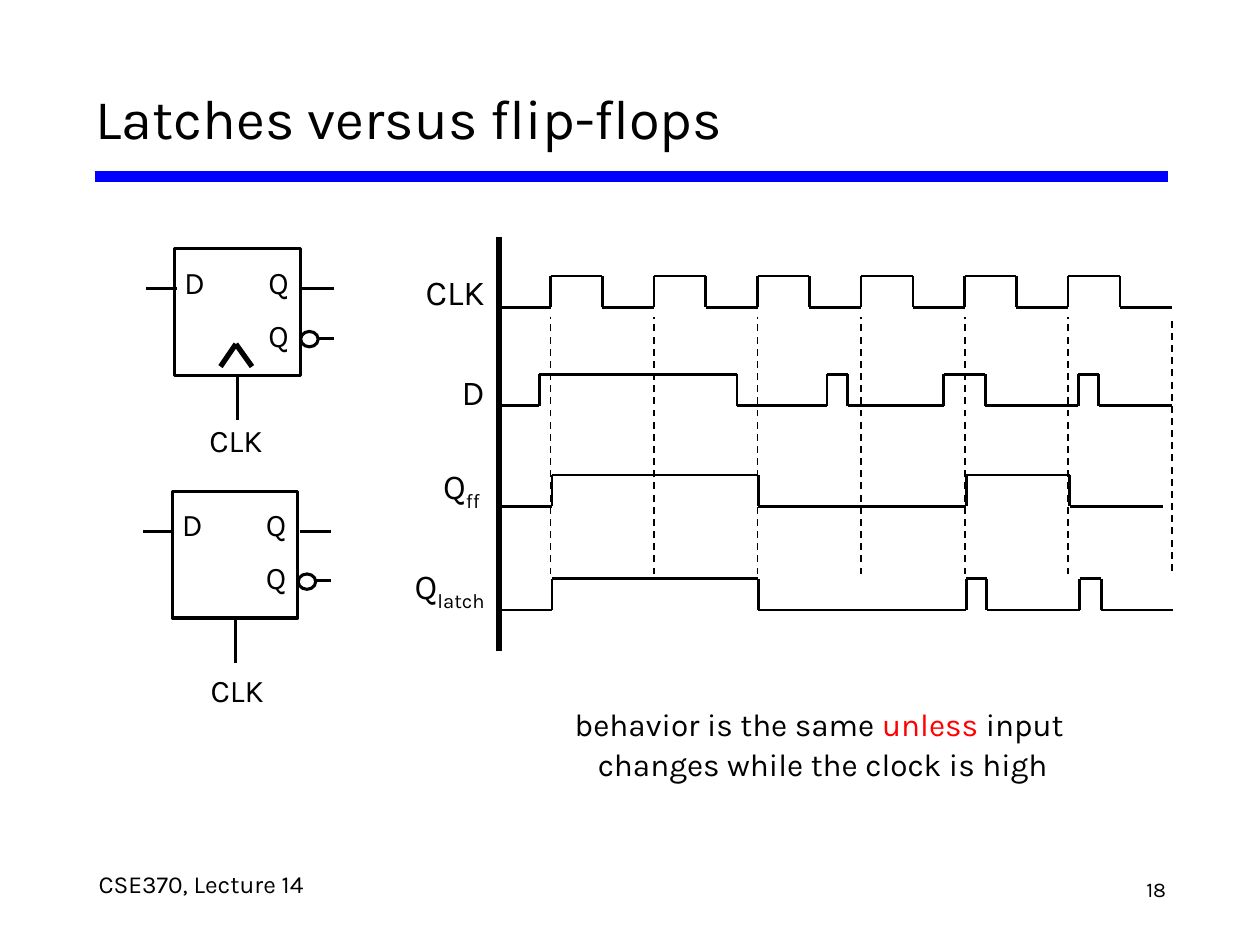
from dataclasses import dataclass
from itertools import pairwise

from lxml import etree
from pptx import Presentation
from pptx.dml.color import RGBColor
from pptx.enum import dml, shapes, text
from pptx.oxml.ns import qn
from pptx.util import Pt


@dataclass(frozen=True)
class Theme:
    font: str = "Karla"
    ink: RGBColor = RGBColor(0, 0, 0)
    paper: RGBColor = RGBColor(255, 255, 255)
    rule: RGBColor = RGBColor(0, 0, 255)
    accent: RGBColor = RGBColor(255, 0, 0)
    title: int = 32
    signal: int = 20
    body: int = 18
    footer: int = 14
    number: int = 12


theme = Theme()
LEFT, CENTER, RIGHT = text.PP_ALIGN.LEFT, text.PP_ALIGN.CENTER, text.PP_ALIGN.RIGHT

deck = Presentation()
deck.slide_width, deck.slide_height = Pt(720), Pt(540)
slide = deck.slides.add_slide(deck.slide_layouts[6])


def write(paragraphs, left, top, width, height, size=theme.body, align=LEFT,
          spacing=Pt(16), gap=0, inset=(1.6, 2.2), wrap=False,
          anchor=text.MSO_ANCHOR.TOP):
    frame = slide.shapes.add_textbox(Pt(left), Pt(top), Pt(width), Pt(height)).text_frame
    frame.word_wrap, frame.vertical_anchor = wrap, anchor
    frame.margin_left = frame.margin_right = Pt(inset[0])
    frame.margin_top = frame.margin_bottom = Pt(inset[1])
    if isinstance(paragraphs, str):
        paragraphs = [[(paragraphs, {})]]
    for index, runs in enumerate(paragraphs):
        paragraph = frame.add_paragraph() if index else frame.paragraphs[0]
        paragraph.alignment, paragraph.line_spacing = align, spacing
        if index and gap:
            paragraph.space_before = Pt(gap)
        for words, style in runs:
            run = paragraph.add_run()
            run.text = words
            run.font.name, run.font.size = theme.font, Pt(size)
            run.font.color.rgb = style.get("color", theme.ink)
            if style.get("subscript"):
                run.font._element.set("baseline", "-25000")


def draw_line(start, end, width=1.5, color=theme.ink, dashed=False):
    line = slide.shapes.add_connector(
        shapes.MSO_CONNECTOR.STRAIGHT, *(Pt(value) for value in (*start, *end)))
    line.line.width = Pt(width)
    line.line.color.rgb = color
    if dashed:
        line.line.dash_style = dml.MSO_LINE.DASH
    etree.SubElement(line._element.spPr, qn("a:effectLst"))
    return line


draw_line((54, 100.8), (667.4, 100.8), width=6, color=theme.rule)
write("18", 640, 496.8, 28, 26, size=theme.number, align=RIGHT)
write("CSE370, Lecture 14", 54.7, 495.4, 267, 26.6, size=theme.footer)
write("Latches versus flip-flops", 47.5, 37.4, 625, 59, size=theme.title, spacing=None,
      inset=(7.2, 3.6), wrap=True, anchor=text.MSO_ANCHOR.MIDDLE)
write([[("behavior is the same ", {}), ("unless", {"color": theme.accent}), (" input ", {})],
       [("changes while the clock is high", {})]],
      301.7, 399.6, 337, 45.4, align=CENTER, spacing=1.05)

draw_line((285.1, 372.2), (285.1, 135.4), width=3)
first_edge, half_period = 314.6, 29.58
clock_edges = [first_edge + half_period * step for step in range(12)]
last_edge = first_edge + half_period * 12
for rising_edge in clock_edges[::2]:
    draw_line((rising_edge, 328.3), (rising_edge, 181.4), width=1, dashed=True)
draw_line((last_edge, 326.2), (last_edge, 181.4), width=1, dashed=True)

sub = {"subscript": True}
write([[("CLK", {})], [("D", {})], [("Q", {}), ("ff ", sub)], [("Q", {}), ("latch", sub)]],
      223.9, 147.6, 54.7, 210.2, size=theme.signal, align=RIGHT, spacing=Pt(28.6), gap=28.6)

swing = 17.9
waveforms = [
    (175.7, 285.1, clock_edges, last_edge),
    (231.8, 284.4, [308.2, 421.2, 472.5, 484.3, 539.3, 563, 616.3, 627.9], last_edge),
    (289.4, 283.7, [315.4, 433.4, 552.2, 611.3], 664.6),
    (348.5, 283.7, [315.4, 433.4, 552.2, 563.8, 617, 629.3], 670.3),
]
for low, start, edges, end in waveforms:
    trace = [(start, low)]
    for index, edge in enumerate(edges):
        levels = (low, low - swing) if index % 2 == 0 else (low - swing, low)
        trace += [(edge, level) for level in levels]
    trace.append((end, low))
    for here, there in pairwise(trace):
        draw_line(here, there)

side, clock_x = 71.6, 35.8
pins = [("D", 4.7, 15.5, 13), ("Q", 52, 15.5, 14.4), ("Q", 52, 45.7, 14.4)]
leads = [(-16.6, 1, 22.9), (72.6, 90.6, 22.9), (72.6, 90.6, 51)]
symbols = [(100, 142.2, 18.1, 101.9, True), (98.6, 280.8, 20.2, 105.8, False)]
for left, top, label_x, label_y, edge_triggered in symbols:
    outlines = []
    for kind, x, y, width, height in [
            (shapes.MSO_SHAPE.RECTANGLE, 0, 0, side, 72.4),
            (shapes.MSO_SHAPE.OVAL, 71.8, 47.2, 10, 8.8)]:
        outline = slide.shapes.add_shape(kind, Pt(left + x), Pt(top + y), Pt(width), Pt(height))
        outline.shadow.inherit = False
        outline.fill.solid()
        outline.fill.fore_color.rgb = theme.paper
        outline.line.color.rgb = theme.ink
        outline.line.width = Pt(1.75)
        outlines.append(outline)
        if kind == shapes.MSO_SHAPE.RECTANGLE:
            for begin, end, lead_y in leads:
                if lead_y == 51:
                    begin = 81.8
                draw_line((left + begin, top + lead_y), (left + end, top + lead_y), width=1.75)
    clock_lead = draw_line((left + clock_x, top + 72.4), (left + clock_x, top + 98), width=1.75)
    clock_lead.begin_connect(outlines[0], 2)
    for pin, x, y, width in pins:
        write(pin, left + x, top + y, width, 13.7, align=CENTER, spacing=Pt(14), inset=(0, 0))
    write("CLK", left + label_x, top + label_y, 56.2, 29.5)
    if edge_triggered:
        chevron = [(left + 26, top + 67.3), (left + 34.8, top + 54.4), (left + 44, top + 67.3)]
        for here, there in pairwise(chevron):
            draw_line(here, there, width=3)

deck.save("out.pptx")
